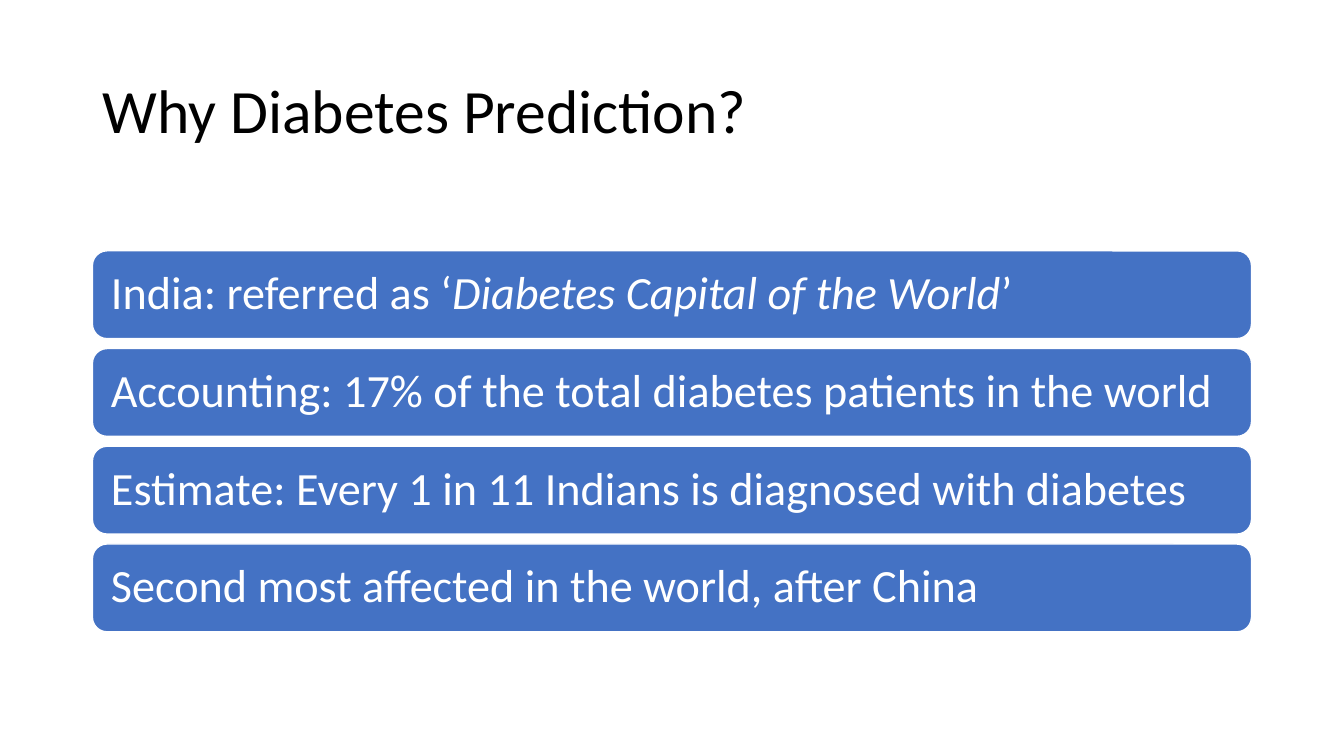
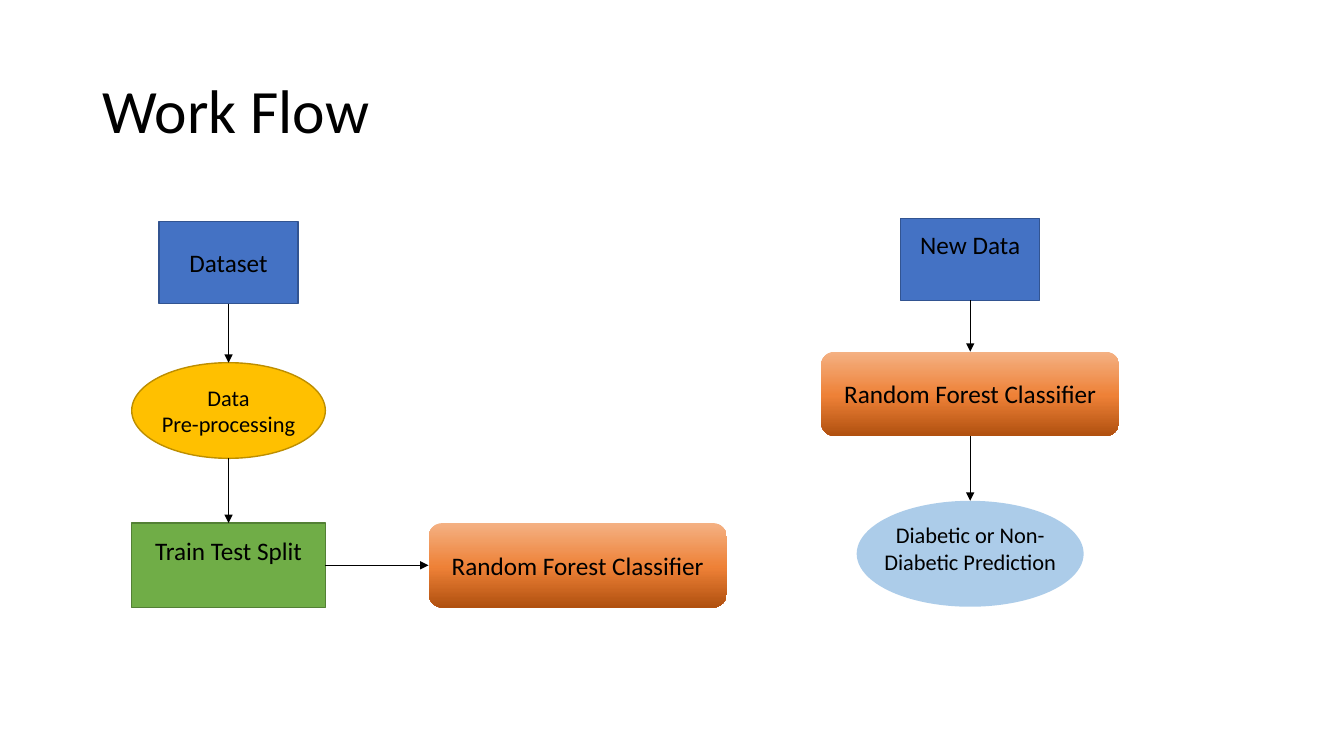
from copy import deepcopy
from lxml.etree import SubElement as Sub
from pptx import Presentation
from pptx.dml.color import RGBColor
from pptx.enum.shapes import MSO_CONNECTOR as Conn, MSO_SHAPE as Geo
from pptx.enum.text import MSO_ANCHOR as Anchor, PP_ALIGN as Align
from pptx.oxml.ns import qn
from pptx.util import Cm, Pt

FONT = "Calibri"
HEX = {
    "ink": "000000", "paper": "FFFFFF",
    "blue": "4472C4", "navy": "325491",
    "gold": "FFC000", "bronze": "BD8E00",
    "green": "70AD47", "moss": "538035",
    "peach": "F4B183", "orange": "EE8137", "rust": "B0500F",
    "sky": "5B9BD5",
}
GLOW = [(0, "peach"), (0.52, "orange"), (1, "rust")]
FACTS = [
    ["India: referred as ‘", "Diabetes Capital of the World", "’"],
    ["Accounting: 17% of the total diabetes patients in the world"],
    ["Estimate: Every 1 in 11 Indians is diagnosed with diabetes"],
    ["Second most affected in the world, after China"],
]


def tint(name):
    """Return the named colour."""
    return RGBColor.from_string(HEX[name])


def style(para, size, color, align, space=1):
    """Format a paragraph and all its runs."""
    para.alignment = align
    para.line_spacing = space
    for run in para.runs:
        run.font.name = FONT
        run.font.size = Pt(size)
        run.font.color.rgb = tint(color)


def start(deck, text):
    """Add a slide with the shared title style."""
    slide = deck.slides.add_slide(deck.slide_layouts[5])
    head = slide.shapes.title
    head.left, head.top, head.width, head.height = map(Cm, (2.33, 1.02, 29.21, 3.68))
    head.text_frame.text = text
    head.text_frame.vertical_anchor = Anchor.MIDDLE
    style(head.text_frame.paragraphs[0], 44, "ink", Align.LEFT, 0.9)
    return slide


def block(slide, geo, box, fill, line=None):
    """Draw a plain filled shape in a box given in centimetres."""
    shape = slide.shapes.add_shape(geo, *map(Cm, box))
    shape.shadow.inherit = False
    shape.fill.solid()
    shape.fill.fore_color.rgb = tint(fill)
    if line:
        shape.line.color.rgb = tint(line)
        shape.line.width = Pt(1)
    else:
        shape.line.fill.background()
    shape.text_frame.vertical_anchor = Anchor.MIDDLE
    return shape


def cards(slide, box, facts):
    """Stack one rounded card per fact, evenly spaced in the box."""
    left, top, width, height = box
    gap = 0.25
    tall = (height - gap * (len(facts) - 1)) / len(facts)
    for row, parts in enumerate(facts):
        spot = (left, top + row * (tall + gap), width, tall)
        frame = block(slide, Geo.ROUNDED_RECTANGLE, spot, "blue", "paper").text_frame
        frame.word_wrap = True
        frame.margin_left = frame.margin_right = Cm(0.36)
        para = frame.paragraphs[0]
        for order, part in enumerate(parts):
            run = para.add_run()
            run.text = part
            run.font.italic = order == 1
        style(para, 33, "paper", Align.LEFT, 0.9)


def node(slide, geo, mid, top, size, text, fill, line=None, points=18, lift=0):
    """Draw a flow step centred on mid, its text raised by lift."""
    width, height = size
    shape = block(slide, geo, (mid - width / 2, top, width, height), fill, line)
    frame = shape.text_frame
    frame.word_wrap = False
    frame.margin_top = 0
    frame.margin_bottom = Cm(2 * lift)
    frame.text = text
    for para in frame.paragraphs:
        style(para, points, "ink", Align.CENTER)
    return shape


def forest(slide, mid, top):
    """Draw the classifier step with its gradient."""
    shape = node(slide, Geo.ROUNDED_RECTANGLE, mid, top, (7.52, 2.13),
                 "Random Forest Classifier", "orange")
    shape.fill.gradient()
    shape.fill.gradient_angle = 270
    stops = shape._element.spPr.find(".//" + qn("a:gsLst"))
    stops.append(deepcopy(stops[0]))
    for stop, (place, name) in zip(shape.fill.gradient_stops, GLOW):
        stop.position = place
        stop.color.rgb = tint(name)
    return shape


def arrow(slide, tail, tip, down=True):
    """Join two steps with an arrow, downwards or to the right."""
    if down:
        x = tail.left + tail.width // 2
        ends = (x, tail.top + tail.height, x, tip.top)
    else:
        y = tail.top + tail.height // 2
        ends = (tail.left + tail.width, y, tip.left, y)
    link = slide.shapes.add_connector(Conn.STRAIGHT, *ends)
    link.line.color.rgb = tint("ink")
    link.line.width = Pt(0.5)
    Sub(link.line._get_or_add_ln(), qn("a:tailEnd"), type="triangle")
    Sub(link._element.spPr, qn("a:effectLst"))


def train(slide, mid, top):
    """Draw the training flow below top, centred on mid."""
    data = node(slide, Geo.RECTANGLE, mid, top, (3.51, 2.06),
                "Dataset", "blue", "navy")
    prep = node(slide, Geo.OVAL, mid, top + 3.55, (4.88, 2.41),
                "Data\nPre-processing", "gold", "bronze", 16)
    split = node(slide, Geo.RECTANGLE, mid, top + 7.59, (4.88, 2.13),
                 "Train Test Split", "green", "moss", lift=0.38)
    model = forest(slide, mid + 8.8, top + 7.59)
    arrow(slide, data, prep)
    arrow(slide, prep, split)
    arrow(slide, split, model, down=False)


def predict(slide, mid, top):
    """Draw the prediction flow below top, centred on mid."""
    data = node(slide, Geo.RECTANGLE, mid, top, (3.51, 2.06),
                "New Data", "blue", "navy", lift=0.38)
    model = forest(slide, mid, top + 3.35)
    goal = node(slide, Geo.OVAL, mid, top + 7.11, (5.72, 2.67),
                "Diabetic or Non-\vDiabetic Prediction", "sky", points=16, lift=0.14)
    shade = goal._element.spPr.find(qn("a:solidFill"))[0]
    Sub(shade, qn("a:alpha"), val="50000")
    arrow(slide, data, model)
    arrow(slide, model, goal)


def main():
    """Build and save the deck."""
    deck = Presentation()
    deck.slide_width, deck.slide_height = Cm(33.87), Cm(19.05)
    cards(start(deck, "Why Diabetes Prediction?"), (2.33, 6.32, 29.21, 9.6), FACTS)
    flow = start(deck, "Work Flow")
    train(flow, 5.76, 5.59)
    predict(flow, 24.45, 5.51)
    deck.save("out.pptx")


if __name__ == "__main__":
    main()
